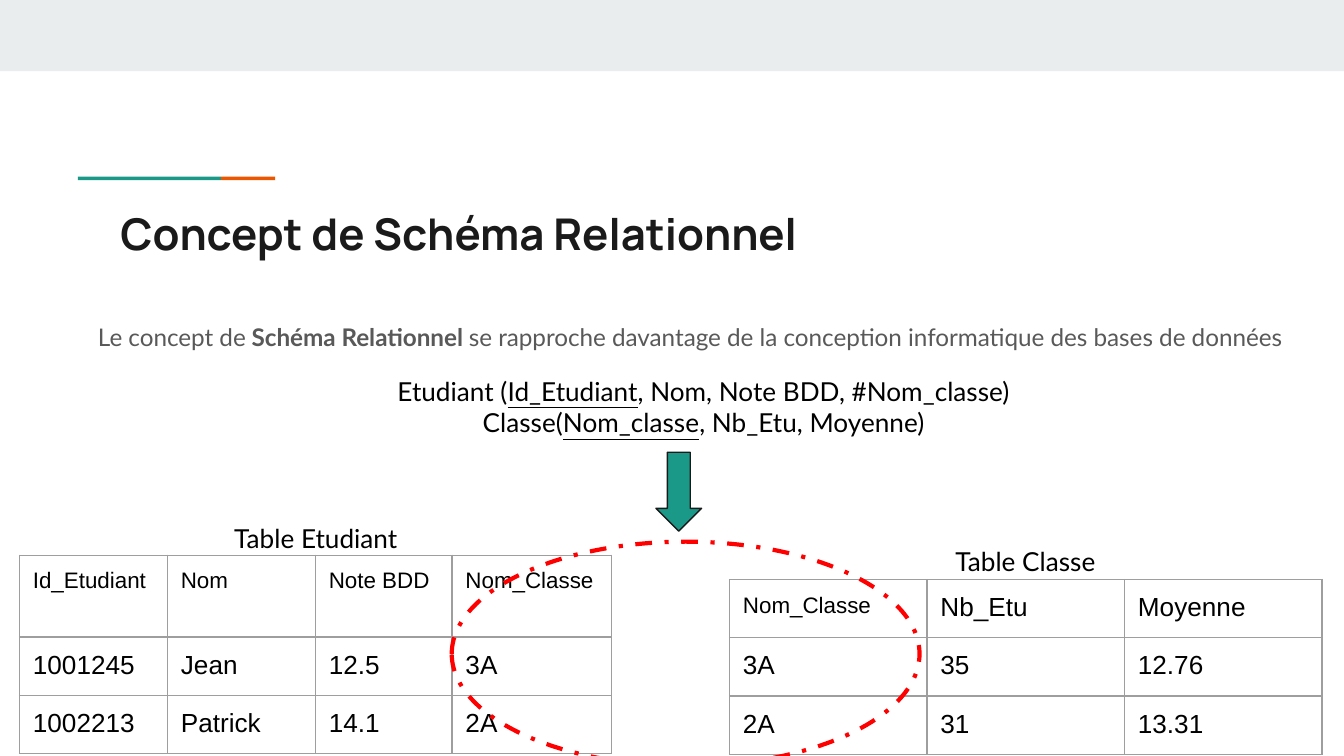
from lxml.etree import SubElement
from pptx import Presentation
from pptx.dml.color import RGBColor
from pptx.enum.dml import MSO_LINE
from pptx.enum.shapes import MSO_SHAPE
from pptx.enum.text import MSO_ANCHOR, PP_ALIGN
from pptx.oxml.ns import qn
from pptx.util import Pt

COLORS = {
    "band": "E9EDEE", "teal": "1A9988", "orange": "EB5600", "dark": "1A1A1A",
    "gray": "595959", "black": "000000", "border": "9E9E9E", "red": "FF0000",
}
INSET = Pt(7.2)

deck = Presentation()
deck.slide_width, deck.slide_height = Pt(720), Pt(405)
page = deck.slides.add_slide(deck.slide_layouts[6])


def add_run(para, text, font, size, color, bold=False, underline=False):
    span = para.add_run()
    span.text = text
    span.font.name = font
    span.font.size = Pt(size)
    span.font.bold = bold
    span.font.underline = underline
    span.font.color.rgb = RGBColor.from_string(COLORS[color])


def add_box(left, top, width, height, align=PP_ALIGN.LEFT):
    box = page.shapes.add_textbox(Pt(left), Pt(top), Pt(width), Pt(height))
    frame = box.text_frame
    frame.word_wrap = True
    frame.margin_left = frame.margin_right = INSET
    frame.margin_top = frame.margin_bottom = INSET
    frame.paragraphs[0].alignment = align
    return frame


bars = [
    (0, 0, 720, 38.2, "band"),
    (41.8, 94.7, 76.6, 1.8, "teal"),
    (118.4, 94.7, 29, 1.8, "orange"),
]
for left, top, width, height, color in bars:
    bar = page.shapes.add_shape(MSO_SHAPE.RECTANGLE, Pt(left), Pt(top), Pt(width), Pt(height))
    bar.shadow.inherit = False
    bar.fill.solid()
    bar.fill.fore_color.rgb = RGBColor.from_string(COLORS[color])
    bar.line.fill.background()

title = add_box(57.4, 103.7, 605.5, 42.5)
add_run(title.paragraphs[0], "Concept de Schéma Relationnel", "Manrope", 23.4, "dark", bold=True)

body = add_box(45.4, 163.4, 651.6, 91.4)
para = body.paragraphs[0]
para.line_spacing = 1.15
para.space_after = Pt(12)
for text, bold in [
    ("Le concept de", False),
    (" Schéma Relationnel ", True),
    ("se rapproche davantage de la conception informatique des bases de données", False),
]:
    add_run(para, text, "Lato", 13, "gray", bold=bold)

schema = add_box(125.3, 193.7, 503.3, 48.2)
relations = [
    ("Etudiant (", "Id_Etudiant", ", Nom, Note BDD, #Nom_classe)"),
    ("Classe(", "Nom_classe", ", Nb_Etu, Moyenne)"),
]
for index, (name, key, attributes) in enumerate(relations):
    para = schema.add_paragraph() if index else schema.paragraphs[0]
    para.alignment = PP_ALIGN.CENTER
    add_run(para, name, "Lato", 14, "black")
    add_run(para, key, "Lato", 14, "black", underline=True)
    add_run(para, attributes, "Lato", 14, "black")

arrow = page.shapes.add_shape(MSO_SHAPE.DOWN_ARROW, Pt(351.4), Pt(242.3), Pt(24.5), Pt(42.3))
arrow.shadow.inherit = False
arrow.fill.solid()
arrow.fill.fore_color.rgb = RGBColor.from_string(COLORS["teal"])
arrow.line.color.rgb = RGBColor.from_string(COLORS["dark"])
arrow.line.width = Pt(0.75)

tables = [
    (10.4, 297.4, [79.3, 79.3, 73.2, 85.6], [43.8, 31.1, 31.1], 4, [
        ["Id_Etudiant", "Nom", "Note BDD", "Nom_Classe"],
        ["1001245", "Jean", "12.5", "3A"],
        ["1002213", "Patrick", "14.1", "2A"],
    ]),
    (390.8, 310.4, [105.8] * 3, [31.1] * 3, 1, [
        ["Nom_Classe", "Nb_Etu", "Moyenne"],
        ["3A", "35", "12.76"],
        ["2A", "31", "13.31"],
    ]),
]
for left, top, widths, heights, small_headers, rows in tables:
    table = page.shapes.add_table(
        len(rows), len(widths), Pt(left), Pt(top), Pt(sum(widths)), Pt(sum(heights))
    ).table
    table.first_row = False
    table.horz_banding = False
    for column, width in zip(table.columns, widths):
        column.width = Pt(width)
    for row_index, values in enumerate(rows):
        table.rows[row_index].height = Pt(heights[row_index])
        for column_index, value in enumerate(values):
            cell = table.cell(row_index, column_index)
            cell.margin_left = cell.margin_right = INSET
            cell.margin_top = cell.margin_bottom = INSET
            cell.vertical_anchor = MSO_ANCHOR.TOP
            size = 12 if row_index == 0 and column_index < small_headers else 14
            add_run(cell.text_frame.paragraphs[0], value, "Arial", size, "black")
            properties = cell._tc.get_or_add_tcPr()
            for side in ("lnL", "lnR", "lnT", "lnB"):
                border = SubElement(properties, qn(f"a:{side}"), w=str(Pt(0.75)))
                paint = SubElement(border, qn("a:solidFill"))
                SubElement(paint, qn("a:srgbClr"), val=COLORS["border"])
            cell.fill.background()

for left, top, caption in [(112.3, 272.9, "Table Etudiant"), (492.5, 285.1, "Table Classe")]:
    label = add_box(left, top, 113.8, 31.7, PP_ALIGN.CENTER)
    add_run(label.paragraphs[0], caption, "Lato", 14, "black")

highlight = page.shapes.add_shape(MSO_SHAPE.OVAL, Pt(242), Pt(290.2), Pt(250.6), Pt(120.2))
highlight.shadow.inherit = False
highlight.fill.background()
highlight.line.color.rgb = RGBColor.from_string(COLORS["red"])
highlight.line.width = Pt(2.25)
highlight.line.dash_style = MSO_LINE.DASH_DOT

deck.save("out.pptx")
